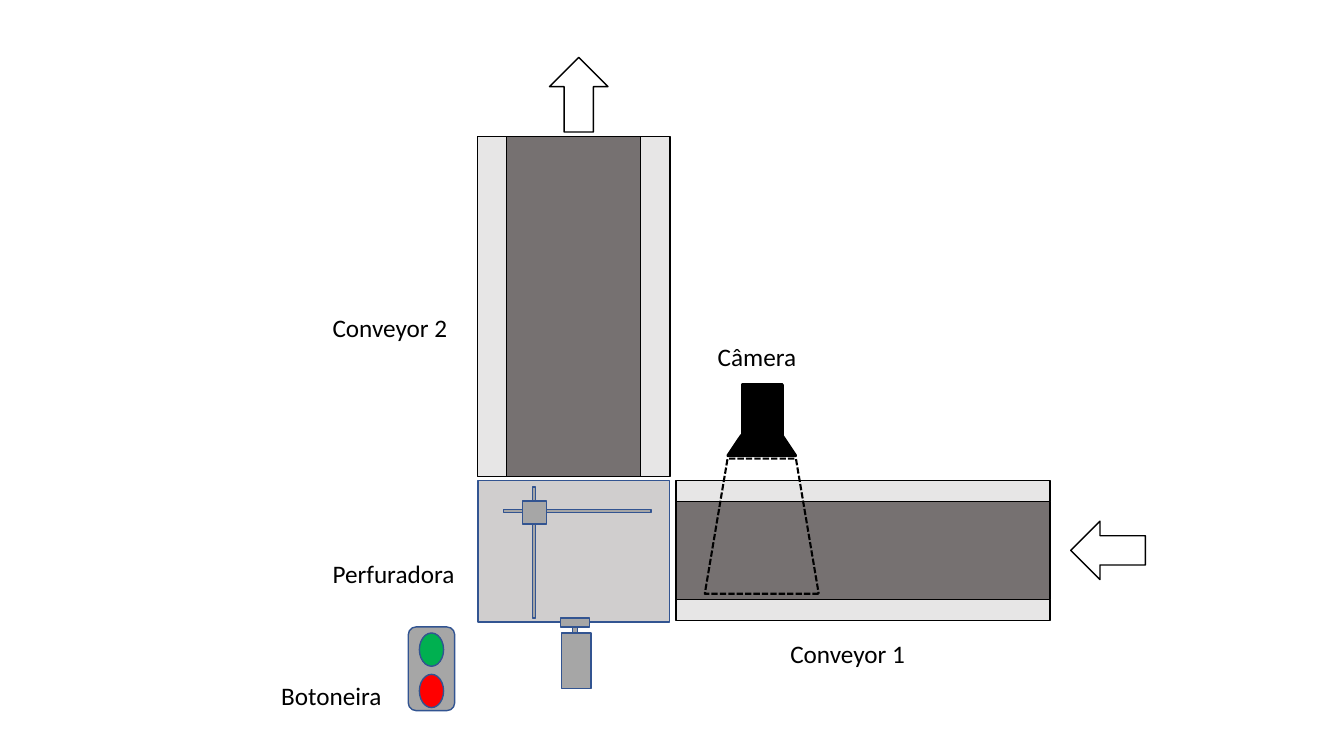
import math
from dataclasses import dataclass

import pptx
import pptx.dml.color
import pptx.enum.dml
import pptx.enum.shapes
import pptx.enum.text
import pptx.util

Inches = pptx.util.Inches
Preset = pptx.enum.shapes.MSO_SHAPE


@dataclass(frozen=True)
class Theme:
    font: str = "Calibri"
    label_size: float = 18
    black: str = "000000"
    white: str = "FFFFFF"
    belt: str = "767171"
    rail: str = "E7E6E6"
    table: str = "D0CECE"
    metal: str = "A6A6A6"
    machine_line: str = "325491"
    start: str = "00B050"
    stop: str = "FF0000"
    thin: float = 1
    dashed: float = 1.5
    thick: float = 2.25


THEME = Theme()


def rgb(value):
    return pptx.dml.color.RGBColor.from_string(value)


def add_part(shapes, left, top, width, height, preset=Preset.RECTANGLE, fill=THEME.metal,
             line=THEME.machine_line, line_width=THEME.thin, rotation=0, dash=None):
    """Add one outlined preset shape; a fill of None leaves it see-through."""
    shape = shapes.add_shape(preset, Inches(left), Inches(top), Inches(width), Inches(height))
    shape.shadow.inherit = False
    shape.rotation = rotation
    if fill:
        shape.fill.solid()
        shape.fill.fore_color.rgb = rgb(fill)
    else:
        shape.fill.background()
    shape.line.color.rgb = rgb(line)
    shape.line.width = pptx.util.Pt(line_width)
    if dash:
        shape.line.dash_style = dash
    return shape


def add_label(shapes, text, left, top, width=1.47, height=0.4,
              size=THEME.label_size, color=THEME.black):
    box = shapes.add_textbox(Inches(left), Inches(top), Inches(width), Inches(height))
    frame = box.text_frame
    frame.word_wrap = True
    frame.auto_size = pptx.enum.text.MSO_AUTO_SIZE.SHAPE_TO_FIT_TEXT
    paragraph = frame.paragraphs[0]
    paragraph.text = text
    paragraph.font.name = THEME.font
    paragraph.font.size = pptx.util.Pt(size)
    paragraph.font.color.rgb = rgb(color)


def add_conveyor(shapes, center_x, center_y, length, belt_width, rail_width, rotation=0):
    """Add a belt with a rail along each side, turned about its centre."""
    rail_offset = (belt_width + rail_width) / 2
    angle = math.radians(rotation)
    strips = [(0, belt_width, THEME.belt),
              (rail_offset, rail_width, THEME.rail),
              (-rail_offset, rail_width, THEME.rail)]
    for offset, width, fill in strips:
        x = center_x - offset * math.sin(angle)
        y = center_y + offset * math.cos(angle)
        add_part(shapes, x - length / 2, y - width / 2, length, width,
                 fill=fill, line=THEME.black, rotation=rotation)


def add_flow_arrow(shapes, left, top, rotation=0):
    add_part(shapes, left, top, 0.74, 0.58, preset=Preset.LEFT_ARROW,
             fill=THEME.white, line=THEME.black, rotation=rotation)


def add_drill(shapes):
    # Work table with its two crossing axes and the drill head
    station = shapes.add_group_shape().shapes
    add_part(station, 4.74, 4.77, 1.9, 1.4, fill=THEME.table)
    add_part(station, 5.28, 4.83, 0.03, 1.3)
    add_part(station, 5.71, 4.34, 0.03, 1.46, rotation=90)
    add_part(station, 5.18, 4.97, 0.24, 0.23)

    # Pusher: rod, cylinder and plate
    pusher = shapes.add_group_shape().shapes
    add_part(pusher, 5.68, 6.2, 0.05, 0.59)
    add_part(pusher, 5.57, 6.28, 0.29, 0.55)
    add_part(pusher, 5.56, 6.13, 0.29, 0.09)


def add_camera(shapes):
    camera = shapes.add_group_shape().shapes
    solid = dict(fill=THEME.black, line=THEME.black, line_width=THEME.thick)
    add_part(camera, 7.31, 3.87, 0.5, 0.4, rotation=90, **solid)
    add_part(camera, 7.22, 4.32, 0.67, 0.2, preset=Preset.FLOWCHART_MANUAL_OPERATION,
             rotation=180, **solid)


def add_field_of_view(shapes):
    add_part(shapes, 6.99, 4.55, 1.13, 1.34, preset=Preset.FLOWCHART_MANUAL_OPERATION,
             fill=None, line=THEME.black, line_width=THEME.dashed, rotation=180,
             dash=pptx.enum.dml.MSO_LINE.SQUARE_DOT)


def add_button_panel(shapes):
    add_part(shapes, 4.05, 6.22, 0.46, 0.83, preset=Preset.ROUNDED_RECTANGLE)
    for top, fill in [(6.28, THEME.start), (6.69, THEME.stop)]:
        add_part(shapes, 4.16, top, 0.24, 0.33, preset=Preset.OVAL, fill=fill)


def main():
    presentation = pptx.Presentation()
    presentation.slide_width = Inches(13.33)
    presentation.slide_height = Inches(7.5)
    slide = presentation.slides.add_slide(presentation.slide_layouts[6])
    shapes = slide.shapes

    # Plant layout
    add_conveyor(shapes, 5.69, 3.04, 3.37, 1.33, 0.29, rotation=270)
    add_drill(shapes)
    add_conveyor(shapes, 8.56, 5.46, 3.71, 0.97, 0.21)
    add_camera(shapes)
    add_field_of_view(shapes)

    # Direction of flow
    add_flow_arrow(shapes, 5.37, 0.65, rotation=90)
    add_flow_arrow(shapes, 10.62, 5.17)

    # Controls
    add_button_panel(shapes)

    # Labels
    for text, left, top in [("Perfuradora", 3.2, 5.49),
                            ("Conveyor 2", 3.2, 3.05),
                            ("Conveyor 1", 7.74, 6.28),
                            ("Câmera", 7.02, 3.34),
                            ("Botoneira", 2.69, 6.7)]:
        add_label(shapes, text, left, top)

    presentation.save("out.pptx")


if __name__ == "__main__":
    main()
